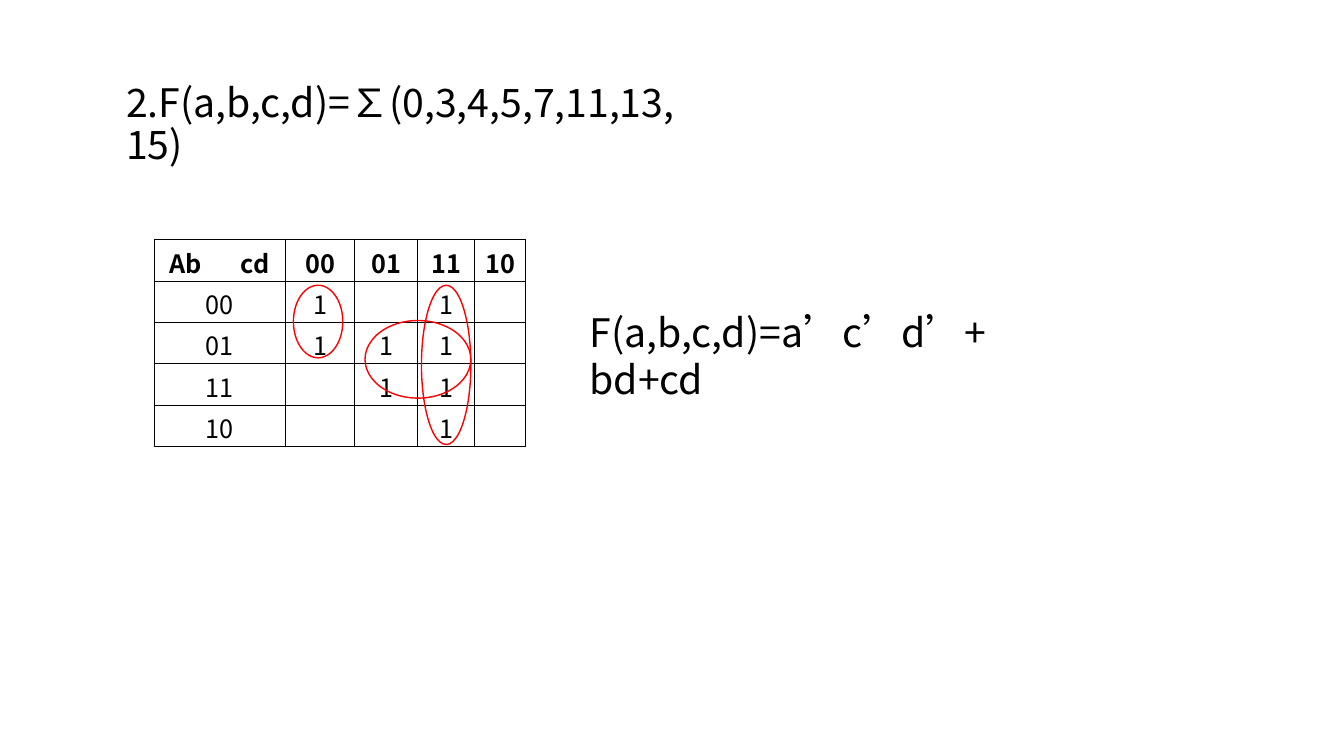
from lxml.etree import SubElement
from pptx import Presentation
from pptx.dml.color import RGBColor
from pptx.enum.shapes import MSO_SHAPE as SHAPE
from pptx.enum.text import MSO_ANCHOR as ANCHOR, MSO_AUTO_SIZE as AUTO, PP_ALIGN as ALIGN
from pptx.oxml.ns import qn
from pptx.util import Inches, Pt

FONT = "Noto Sans CJK SC"
BLACK, RED = "000000", "FF0000"
TITLE = "2.F(a,b,c,d)=∑(0,3,4,5,7,11,13,15)"
RESULT = "F(a,b,c,d)=a’c’d’+bd+cd"
KMAP = [
    ["Ab\tcd", "00", "01", "11", "10"],
    ["00", "1", "", "1", ""],
    ["01", "1", "1", "1", ""],
    ["11", "", "1", "1", ""],
    ["10", "", "", "1", ""],
]
COL_WIDTHS = [1.3, 0.69, 0.62, 0.57, 0.5]
ROW_HEIGHT = 0.41
GROUPS = [(2.91, 2.83, 0.49, 0.72), (4.18, 2.83, 0.49, 1.58), (3.62, 3.18, 1.05, 0.77)]


def color(value):
    return RGBColor.from_string(value)


def write(tf, text, size, bold=False, align=ALIGN.LEFT):
    p = tf.paragraphs[0]
    r = p.add_run()
    r.text = text
    p.alignment = align
    p.font.size, p.font.bold, p.font.name = Pt(size), bold, FONT
    p.font.color.rgb = color(BLACK)
    rPr = r.font._element
    rPr.set("lang", "zh-CN")
    for tag in ("a:latin", "a:ea"):
        SubElement(rPr, qn(tag), typeface=FONT)
    return p


def place_text(sp, box, text):
    sp.left, sp.top, sp.width, sp.height = map(Inches, box)
    tf = sp.text_frame
    tf.word_wrap, tf.auto_size = True, AUTO.NONE
    tf.vertical_anchor = ANCHOR.TOP
    return write(tf, text, 28)


def add_borders(cell):
    tcPr = cell._tc.get_or_add_tcPr()
    for i, side in enumerate(("lnL", "lnR", "lnT", "lnB")):
        ln = tcPr.makeelement(qn("a:" + side), {"w": str(Pt(1))})
        fill = SubElement(ln, qn("a:solidFill"))
        SubElement(fill, qn("a:srgbClr"), val=BLACK)
        tcPr.insert(i, ln)


prs = Presentation()
prs.slide_width, prs.slide_height = Inches(13.33), Inches(7.5)
s = prs.slides.add_slide(prs.slide_layouts[5])

p = place_text(s.shapes.title, (1.15, 0.78, 5.75, 0.53), TITLE)
p.line_spacing = 0.9
place_text(s.shapes.add_textbox(0, 0, 0, 0), (5.75, 3.01, 4.2, 0.57), RESULT)

table = s.shapes.add_table(
    len(KMAP), len(COL_WIDTHS), Inches(1.53), Inches(2.38),
    Inches(sum(COL_WIDTHS)), Inches(ROW_HEIGHT * len(KMAP))).table
table.first_row = table.horz_banding = False
for col, width in zip(table.columns, COL_WIDTHS):
    col.width = Inches(width)
for i, values in enumerate(KMAP):
    table.rows[i].height = Inches(ROW_HEIGHT)
    for j, value in enumerate(values):
        cell = table.cell(i, j)
        cell.margin_top, cell.margin_bottom = Inches(0.04), 0
        cell.fill.background()
        add_borders(cell)
        if value:
            write(cell.text_frame, value, 18, i == 0, ALIGN.CENTER)
        else:
            cell.text_frame.paragraphs[0].font.size = Pt(18)

corner = table.cell(0, 0)
corner.margin_left = Inches(0.15)
p = corner.text_frame.paragraphs[0]
p.alignment = ALIGN.LEFT
tabs = p._p.pPr.makeelement(qn("a:tabLst"), {})
SubElement(tabs, qn("a:tab"), pos=str(Inches(0.71)), algn="l")
p._p.pPr.insert(0, tabs)

for box in GROUPS:
    sp = s.shapes.add_shape(SHAPE.OVAL, *map(Inches, box))
    sp.shadow.inherit = False
    sp.fill.background()
    sp.line.color.rgb = color(RED)
    sp.line.width = Pt(1)

prs.save("out.pptx")
